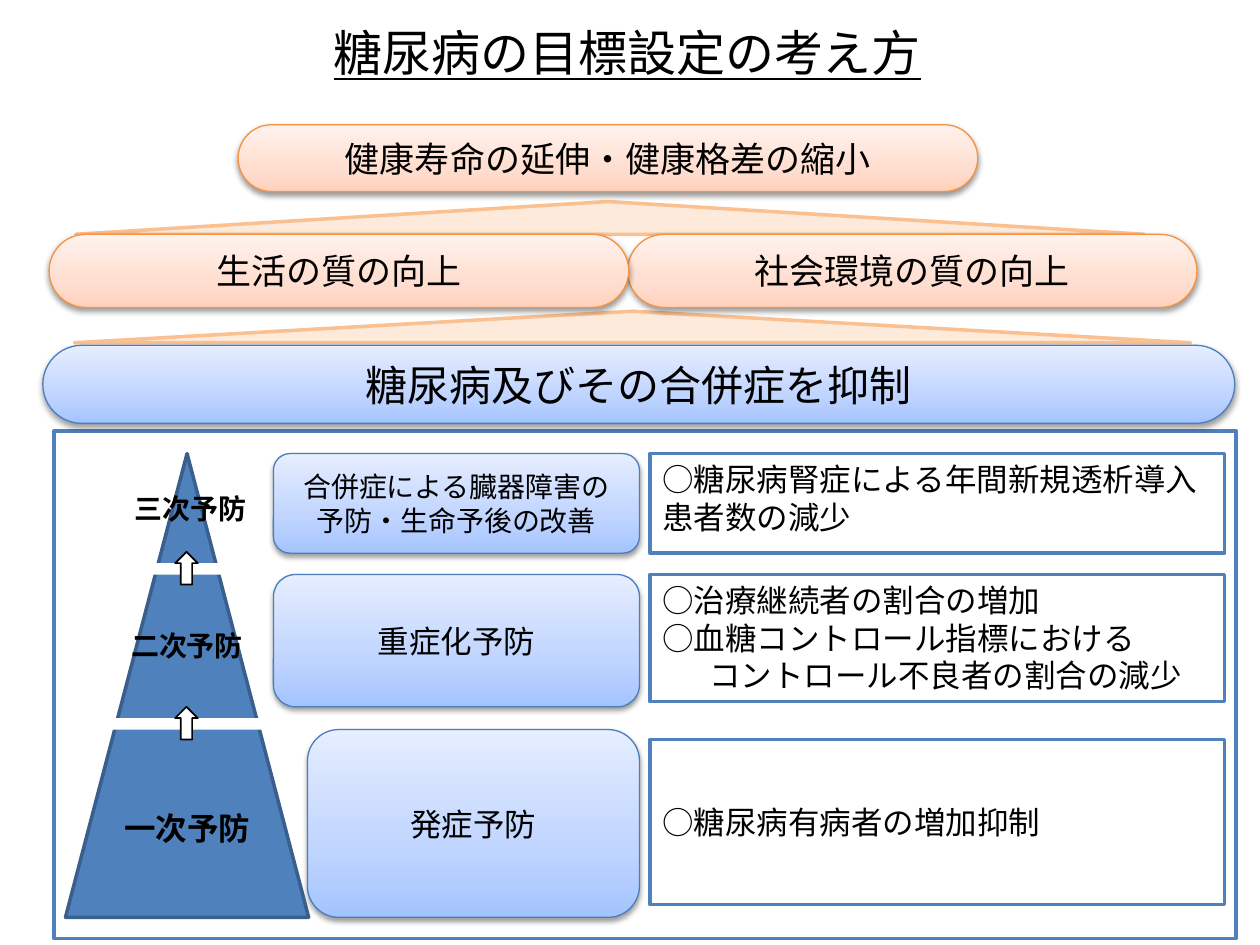
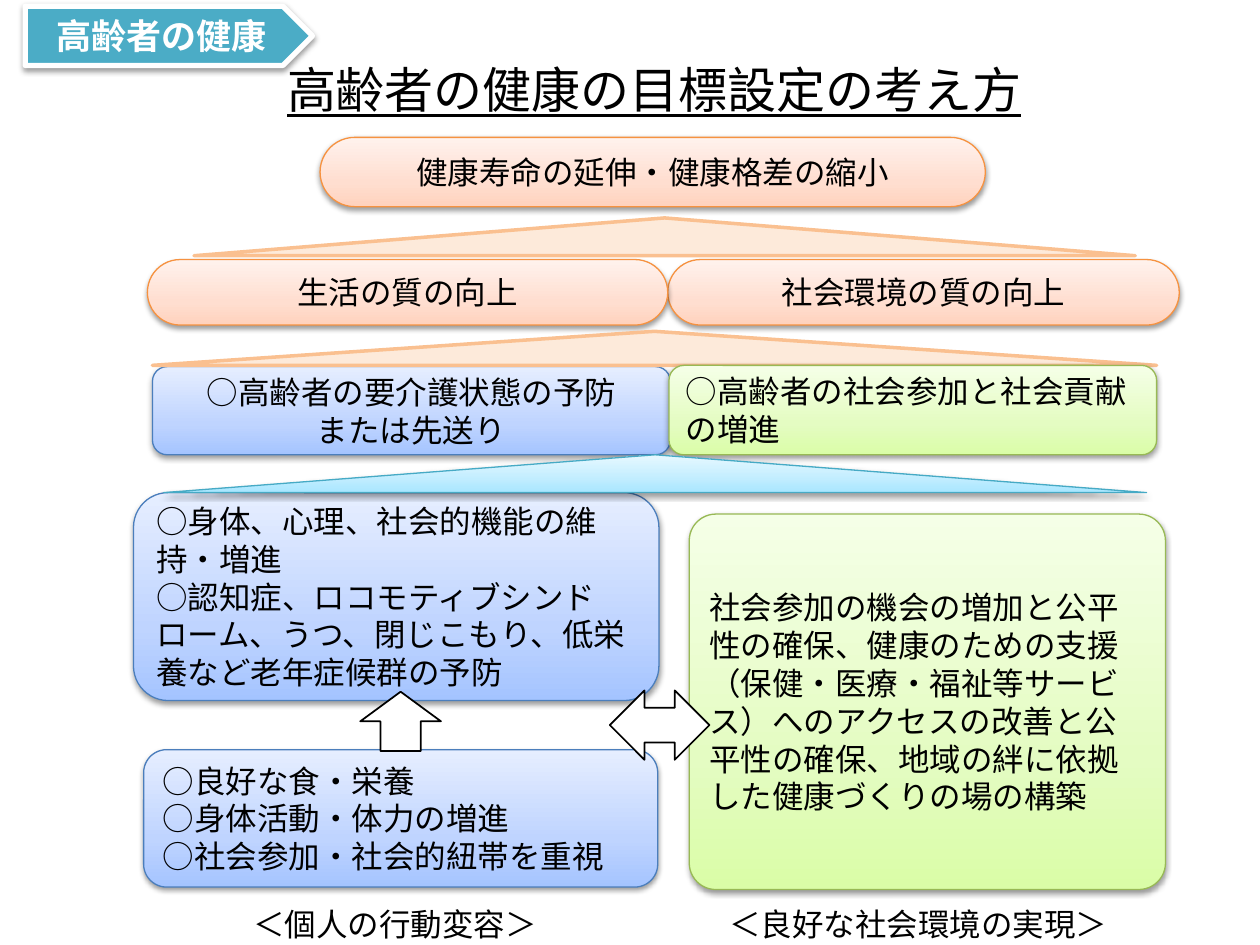
from dataclasses import dataclass
from lxml.etree import SubElement
from pptx import Presentation
from pptx.dml.color import RGBColor
from pptx.enum.shapes import MSO_SHAPE as Preset
from pptx.enum.text import MSO_ANCHOR as Anchor, PP_ALIGN as Align
from pptx.oxml.ns import qn
from pptx.util import Inches, Pt

COLUMNS, ROWS = 100, 75
CELL = Inches(0.1)


@dataclass(frozen=True)
class Look:
    fill: object = None
    line: str = None
    weight: float = 0.75
    shadow: bool = False


class Theme:
    font = "Calibri"
    ink, paper = "000000", "FFFFFF"
    title, headline, lead, body, small = 28, 24, 20, 18, 16
    blue = Look(("A4C4FF", "BFD4FF", "E6EEFF"), "4B7EBC", shadow=True)
    orange = Look(("FFD2BD", "FFDED0", "FFF2ED"), "F69240", shadow=True)
    green = Look(("DAFDA7", "E4FCC2", "F5FFE7"), "98B955", shadow=True)
    aqua = Look(("A7E6FF", "C1EDFF", "E7F8FF"), "46AAC5", shadow=True)
    roof = Look("FDEADA", "FAC090", 2)
    panel = Look("FFFFFF", "4F81BD", 2)
    pyramid = Look("4F81BD", "3A5F8C", 2)
    arrow = Look("FFFFFF", "000000", 1)
    strip = Look("FFFFFF")
    tag = Look("4BACC6", "FFFFFF", 3, True)


class Deck:
    def __init__(self, theme):
        self.theme = theme
        self.presentation = Presentation()
        self.presentation.slide_width = CELL * COLUMNS
        self.presentation.slide_height = CELL * ROWS
        self.slide = None

    def new_slide(self):
        self.slide = self.presentation.slides.add_slide(self.presentation.slide_layouts[6])

    def shape(self, preset, box, look, adjust=None):
        shape = self.slide.shapes.add_shape(preset, *(round(CELL * side) for side in box))
        shape.shadow.inherit = False
        if adjust is not None:
            shape.adjustments[0] = adjust
        self.paint(shape, look)
        return shape

    def paint(self, shape, look):
        properties = shape._element.spPr
        if isinstance(look.fill, tuple):
            shape.fill.gradient()
            shape.fill.gradient_angle = 90
            stops = properties.find(qn("a:gradFill")).find(qn("a:gsLst"))
            for stop in list(stops):
                stops.remove(stop)
            for place, color in zip((0, 35, 100), look.fill):
                stop = SubElement(stops, qn("a:gs"), pos=str(place * 1000))
                SubElement(stop, qn("a:srgbClr"), val=color)
        else:
            shape.fill.solid()
            shape.fill.fore_color.rgb = RGBColor.from_string(look.fill)
        if look.line:
            shape.line.color.rgb = RGBColor.from_string(look.line)
            shape.line.width = Pt(look.weight)
        else:
            shape.line.fill.background()
        if look.shadow:
            shadow = SubElement(properties.find(qn("a:effectLst")), qn("a:outerShdw"),
                                blurRad="40000", dist="20000", dir="5400000", rotWithShape="0")
            color = SubElement(shadow, qn("a:srgbClr"), val=self.theme.ink)
            SubElement(color, qn("a:alpha"), val="38000")

    def fill_text(self, shape, lines, size, align=Align.CENTER, anchor=Anchor.MIDDLE,
                  color=None, bold=False, underline=False, wrap=True):
        frame = shape.text_frame
        frame.word_wrap = wrap
        frame.vertical_anchor = anchor
        for number, line in enumerate(lines):
            paragraph = frame.add_paragraph() if number else frame.paragraphs[0]
            paragraph.alignment = align
            run = paragraph.add_run()
            run.text = line
            run.font.name = self.theme.font
            run.font.size = Pt(size)
            run.font.bold = bold
            run.font.underline = underline
            run.font.color.rgb = RGBColor.from_string(color or self.theme.ink)

    def card(self, box, look, lines, size=Theme.body, align=Align.CENTER, adjust=None):
        self.fill_text(self.shape(Preset.ROUNDED_RECTANGLE, box, look, adjust), lines, size, align)

    def pill(self, box, look, text, size):
        self.card(box, look, [text], size, adjust=0.5)

    def panel(self, box, lines, anchor):
        shape = self.shape(Preset.RECTANGLE, box, self.theme.panel)
        self.fill_text(shape, lines, self.theme.body, Align.LEFT, anchor)
        return shape

    def text(self, box, line, size, **style):
        shape = self.slide.shapes.add_textbox(*(round(CELL * side) for side in box))
        self.fill_text(shape, [line], size, **style)

    def title(self, box, line):
        self.text(box, line, self.theme.title, align=Align.LEFT, anchor=Anchor.TOP,
                  underline=True, wrap=False)

    def roof(self, box, look=Theme.roof, peak=0.5):
        self.shape(Preset.ISOSCELES_TRIANGLE, box, look, peak)

    def vision(self, goal, life, society, size):
        orange = self.theme.orange
        self.pill(society, orange, "社会環境の質の向上", size)
        self.pill(life, orange, "生活の質の向上", size)
        self.pill(goal, orange, "健康寿命の延伸・健康格差の縮小", size)


def diabetes_slide(deck):
    theme = deck.theme
    deck.new_slide()
    deck.roof((6, 16, 84.8, 2.6), peak=0.498)
    deck.roof((5.9, 24.7, 88.6, 2.5))
    deck.shape(Preset.RECTANGLE, (4.3, 34.2, 93.8, 40.3), theme.panel)
    deck.pill((3.4, 27.4, 94.6, 6.2), theme.blue, "糖尿病及びその合併症を抑制", theme.headline)
    deck.vision((18.9, 9.9, 58.7, 5.3), (3.9, 18.6, 46, 5.8), (49.8, 18.6, 45.2, 5.8), theme.lead)

    card_right, goal_left, goal_width = 50.75, 51.6, 45.6
    stages = [
        (21.7, 36, 7.9, ["合併症による臓器障害の", "予防・生命予後の改善"], theme.small,
         36, 7.9, ["○糖尿病腎症による年間新規透析導入患者数の減少"], Anchor.TOP),
        (21.7, 45.6, 10.5, ["重症化予防"], theme.body,
         45.6, 10.1, ["○治療継続者の割合の増加", "○血糖コントロール指標における",
                      "コントロール不良者の割合の減少"], Anchor.TOP),
        (24.4, 57.9, 14.9, ["発症予防"], theme.body,
         58.7, 13.1, ["○糖尿病有病者の増加抑制"], Anchor.MIDDLE),
    ]
    for left, top, height, lines, size, goal_top, goal_height, goals, anchor in stages:
        deck.card((left, top, card_right - left, height), theme.blue, lines, size)
        panel = deck.panel((goal_left, goal_top, goal_width, goal_height), goals, anchor)
        if len(goals) == 3:
            panel.text_frame.paragraphs[2]._p.get_or_add_pPr().set("marL", str(Inches(0.37)))

    deck.shape(Preset.ISOSCELES_TRIANGLE, (5.2, 36, 19.3, 36.8), theme.pyramid)
    gaps = (44.7, 57)
    for top in gaps:
        deck.shape(Preset.RECTANGLE, (8.7, top, 12.3, 0.9), theme.strip)
    levels = [("一次予防", (5.2, 63.1, 19.3, 5.3), theme.body),
              ("二次予防", (5.2, 48.2, 19.3, 6.1), theme.small),
              ("三次予防", (7, 37.7, 16.2, 5.3), theme.small)]
    for name, box, size in levels:
        deck.text(box, name, size, bold=True)
    for top in gaps:
        deck.shape(Preset.UP_ARROW, (13.9, top - 0.9, 1.8, 2.6), theme.arrow)
    deck.title((25.5, 1.3, 49.7, 5.7), "糖尿病の目標設定の考え方")


def elderly_slide(deck):
    theme = deck.theme
    deck.new_slide()
    deck.card((54.7, 40.8, 37.8, 29.8), theme.green,
              ["社会参加の機会の増加と公平性の確保、健康のための支援（保健・医療・福祉等サービス）"
               "へのアクセスの改善と公平性の確保、地域の絆に依拠した健康づくりの場の構築"],
              align=Align.LEFT, adjust=0.071)
    deck.card((12.1, 29.1, 41.1, 7), theme.blue, ["○高齢者の要介護状態の予防", "または先送り"])
    deck.card((10.6, 39.1, 41.7, 16.5), theme.blue,
              ["○身体、心理、社会的機能の維持・増進",
               "○認知症、ロコモティブシンドローム、うつ、閉じこもり、低栄養など老年症候群の予防"],
              align=Align.LEFT)
    deck.card((11.4, 59.5, 40.8, 10.9), theme.blue,
              ["○良好な食・栄養", "○身体活動・体力の増進", "○社会参加・社会的紐帯を重視"],
              align=Align.LEFT)
    deck.shape(Preset.UP_ARROW, (28.6, 54.9, 6.4, 4.7), theme.arrow)
    for left, width, caption in ((19.1, 26.8, "＜個人の行動変容＞"),
                                 (56.9, 34.6, "＜良好な社会環境の実現＞")):
        deck.text((left, 71.3, width, 3.7), caption, theme.body, align=Align.LEFT, anchor=Anchor.TOP)
    deck.vision((25.4, 10.9, 52.8, 5.5), (11.7, 20.6, 41.3, 5.2), (53, 20.6, 40.6, 5.2), theme.body)
    deck.roof((15.4, 17.3, 74.7, 3))
    deck.roof((12.1, 26.3, 79.7, 2.7))
    deck.shape(Preset.LEFT_RIGHT_ARROW, (48.4, 54.8, 7.9, 5.5), theme.arrow)
    deck.card((53.1, 29, 38.7, 7.1), theme.green, ["○高齢者の社会参加と社会貢献の増進"],
              align=Align.LEFT)
    deck.roof((13, 36.1, 78, 3), theme.aqua)
    deck.title((21.8, 4.2, 60.5, 5.7), "高齢者の健康の目標設定の考え方")
    tag = deck.shape(Preset.PENTAGON, (2, 0.5, 22.8, 4.7), theme.tag)
    deck.fill_text(tag, ["高齢者の健康"], theme.lead, color=theme.paper, bold=True)


def main():
    deck = Deck(Theme())
    diabetes_slide(deck)
    elderly_slide(deck)
    deck.presentation.save("out.pptx")


if __name__ == "__main__":
    main()
